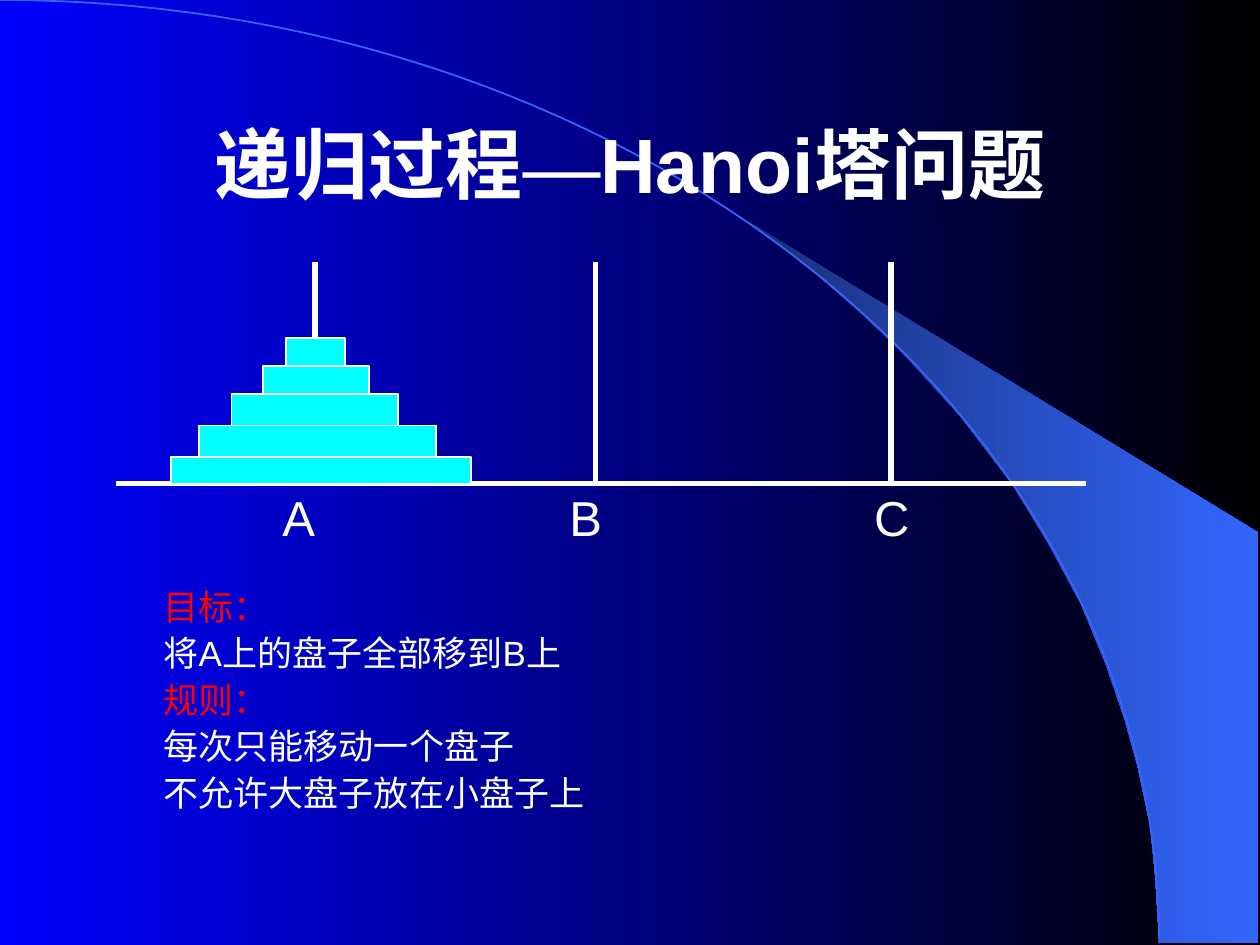
from lxml.etree import SubElement
from pptx import Presentation
from pptx.dml.color import RGBColor
from pptx.enum.lang import MSO_LANGUAGE_ID as Language
from pptx.enum.shapes import MSO_CONNECTOR as Connector, MSO_SHAPE as Shape
from pptx.enum.text import MSO_ANCHOR as Anchor, PP_ALIGN as Align
from pptx.oxml.ns import qn
from pptx.util import Cm, Pt

WHITE, RED, CYAN, BLUE = "FFFFFF", "FF0000", "00FFFF", "3366FF"
SANS, SERIF = "Arial", "Times New Roman"

TITLE = [("递归过程", SANS), ("—", SERIF), ("Hanoi塔问题", SANS)]
RULES = [
    ("目标：", RED),
    ("将A上的盘子全部移到B上", WHITE),
    ("规则：", RED),
    ("每次只能移动一个盘子", WHITE),
    ("不允许大盘子放在小盘子上", WHITE),
]
RODS = [("A", 6.35, 6.02), ("B", 12.01, 11.81), ("C", 17.96, 17.98)]
ROD_TOP, BASE = 5.28, 9.75
BASE_LEFT, BASE_RIGHT = 2.34, 21.89
DISKS = [(3.45, 6.05, 0.53), (4.01, 4.78, 0.64), (4.67, 3.35, 0.64),
         (5.31, 2.13, 0.56), (5.77, 1.19, 0.56)]
LABEL_LEFT, INSET = 4.67, 0.25

CURVE = [(0, 0), (12.9, 0), (23.37, 8.51), (23.37, 19.02)]
CURVE_STEPS = 60
BEAM = [(23.37, 19), (25.37, 19.02), (25.37, 10.74), (14.96, 4.39),
        (15.85, 5.05), (16.59, 5.64), (17.4, 6.35), (18.19, 7.11),
        (19.35, 8.38), (20.4, 9.75), (21.13, 10.95), (21.79, 12.17),
        (22.3, 13.41), (22.68, 14.53), (22.94, 15.47), (23.19, 16.66),
        (23.29, 17.68)]


def color(value):
    return RGBColor.from_string(value)


def set_gradient(fill, start, end):
    fill.gradient()
    fill.gradient_angle = 0
    for stop, value in zip(fill.gradient_stops, (start, end)):
        stop.color.rgb = color(value)


def set_line(line, value, width):
    line.color.rgb = color(value)
    line.width = Pt(width)


def add_outline(points, close):
    builder = slide.shapes.build_freeform(*map(Cm, points[0]))
    builder.add_line_segments([(Cm(x), Cm(y)) for x, y in points[1:]], close=close)
    shape = builder.convert_to_shape()
    shape.shadow.inherit = False
    return shape


def add_line(x1, y1, x2, y2):
    connector = slide.shapes.add_connector(Connector.STRAIGHT, *map(Cm, (x1, y1, x2, y2)))
    set_line(connector.line, WHITE, 3)
    SubElement(connector._element.spPr, qn("a:effectLst"))


def add_text_frame(*box):
    frame = slide.shapes.add_textbox(*map(Cm, box)).text_frame
    frame.word_wrap = True
    return frame


def add_run(paragraph, text, size, value=WHITE, font=SANS, bold=False):
    run = paragraph.add_run()
    run.text = text
    run.font.size = Pt(size)
    run.font.name = font
    run.font.bold = bold
    run.font.color.rgb = color(value)
    run.font.language_id = Language.SIMPLIFIED_CHINESE
    SubElement(run.font._element, qn("a:ea"), typeface=font)


def curve_point(t):
    weights = ((1 - t) ** 3, 3 * t * (1 - t) ** 2, 3 * t * t * (1 - t), t ** 3)
    return tuple(sum(w * p[axis] for w, p in zip(weights, CURVE)) for axis in (0, 1))


presentation = Presentation()
presentation.slide_width, presentation.slide_height = Cm(25.4), Cm(19.05)
slide = presentation.slides.add_slide(presentation.slide_layouts[6])
set_gradient(slide.background.fill, "0000FF", "000000")

beam = add_outline(BEAM, True)
set_gradient(beam.fill, "182F76", BLUE)
beam.line.fill.background()
curve = add_outline([curve_point(i / CURVE_STEPS) for i in range(CURVE_STEPS + 1)], False)
curve.fill.background()
set_line(curve.line, BLUE, 1)

title = add_text_frame(1.91, 1.7, 21.59, 3.18)
title.vertical_anchor = Anchor.MIDDLE
title.paragraphs[0].alignment = Align.CENTER
for text, font in TITLE:
    add_run(title.paragraphs[0], text, 44, font=font, bold=True)

rules = add_text_frame(3.05, 11.68, 19.58, 4.85)
for index, (text, value) in enumerate(RULES):
    paragraph = rules.add_paragraph() if index else rules.paragraphs[0]
    if index:
        paragraph.space_before = Pt(2.5)
    add_run(paragraph, text, 20, value)

add_line(BASE_LEFT, BASE, BASE_RIGHT, BASE)
for name, x, label_x in RODS:
    add_line(x, ROD_TOP, x, BASE)

top = BASE
for left, width, height in DISKS:
    top -= height
    disk = slide.shapes.add_shape(Shape.RECTANGLE, *map(Cm, (left, top, width, height)))
    disk.shadow.inherit = False
    disk.fill.solid()
    disk.fill.fore_color.rgb = color(CYAN)
    set_line(disk.line, WHITE, 1)

labels = add_text_frame(LABEL_LEFT, 9.7, 15.85, 1.45).paragraphs[0]
tabs = SubElement(labels._p.get_or_add_pPr(), qn("a:tabLst"))
for name, x, label_x in RODS:
    SubElement(tabs, qn("a:tab"), pos=str(Cm(label_x - LABEL_LEFT - INSET)), algn="ctr")
    add_run(labels, "\t" + name, 28)

presentation.save("out.pptx")
